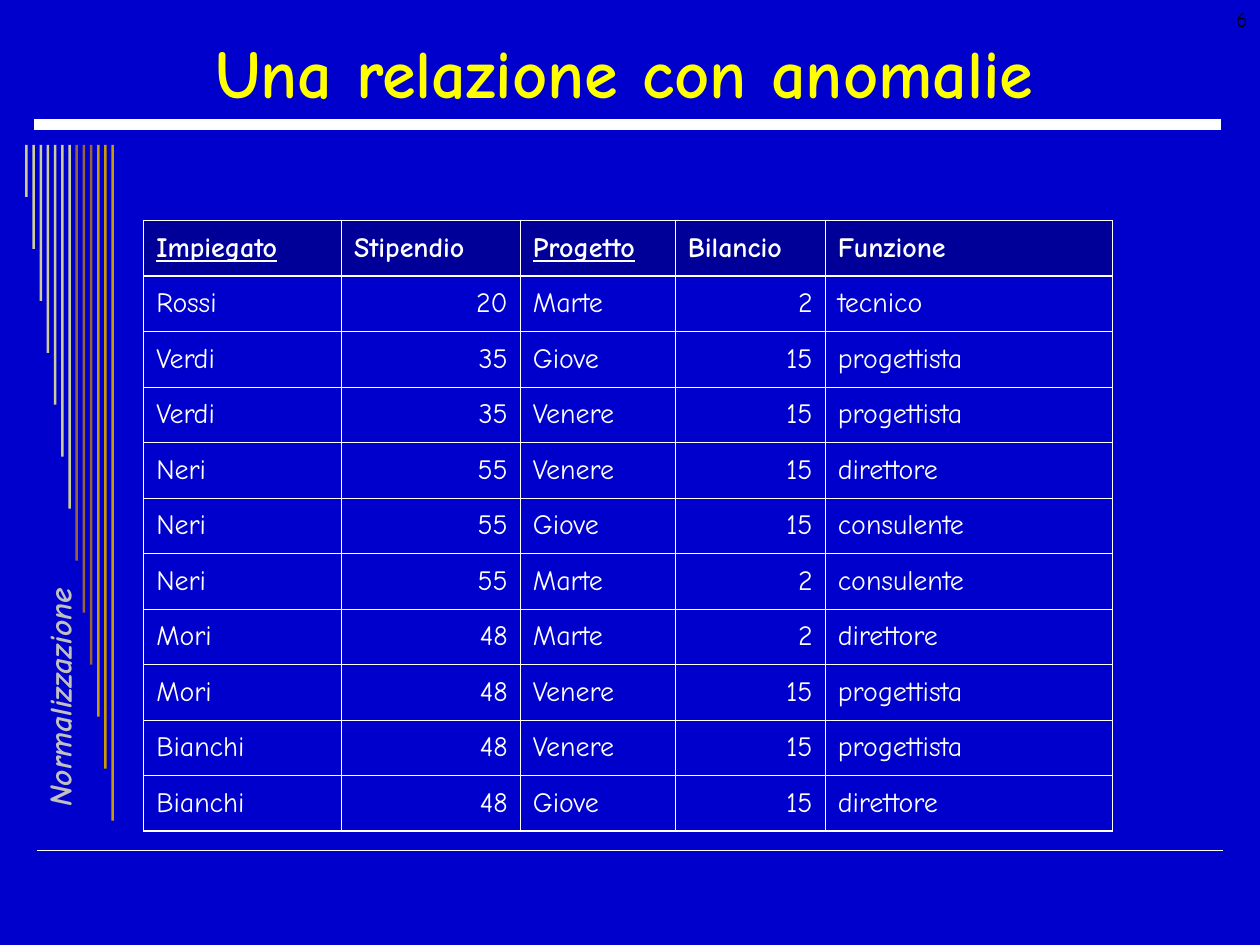
from lxml import etree
from pptx import Presentation
from pptx.dml.color import RGBColor
from pptx.enum import shapes, text
from pptx.oxml import ns
from pptx.util import Inches, Pt

BLUE = RGBColor(0x00, 0x00, 0xCC)
NAVY = RGBColor(0x00, 0x00, 0x99)
WHITE = RGBColor(0xFF, 0xFF, 0xFF)
YELLOW = RGBColor(0xFF, 0xFF, 0x00)
SILVER = RGBColor(0xC0, 0xC0, 0xC0)
BLACK = RGBColor(0x00, 0x00, 0x00)
OLIVE = RGBColor(0x33, 0x33, 0x00)
SAND = RGBColor(0xCC, 0xCC, 0x99)
BROWN = RGBColor(0x99, 0x66, 0x33)
GOLD = RGBColor(0xCC, 0x99, 0x00)
FONT = "Comic Neue"

TITLE = "Una relazione con anomalie"
SIDE_LABEL = "Normalizzazione"
PAGE_NUMBER = "6"
HEADERS = ["Impiegato", "Stipendio", "Progetto", "Bilancio", "Funzione"]
KEYS = {"Impiegato", "Progetto"}
NUMERIC = {"Stipendio", "Bilancio"}
ROWS = [
    ("Rossi", "20", "Marte", "2", "tecnico"),
    ("Verdi", "35", "Giove", "15", "progettista"),
    ("Verdi", "35", "Venere", "15", "progettista"),
    ("Neri", "55", "Venere", "15", "direttore"),
    ("Neri", "55", "Giove", "15", "consulente"),
    ("Neri", "55", "Marte", "2", "consulente"),
    ("Mori", "48", "Marte", "2", "direttore"),
    ("Mori", "48", "Venere", "15", "progettista"),
    ("Bianchi", "48", "Venere", "15", "progettista"),
    ("Bianchi", "48", "Giove", "15", "direttore"),
]
COLUMN_WIDTHS = [1.57, 1.42, 1.23, 1.19, 2.28]
TABLE_HEIGHT = 4.85
THIN, THICK = 0.45, 1.08

RULES = [(0.29, 9.71, 6.75, 1), (0.27, 9.69, 0.99, 6)]  # x1, x2, y, points
STRIPES = [SAND] * 7 + [BROWN] * 3 + [GOLD] * 3
STRIPE_STEP, STRIPE_GROWTH = 0.057, 0.4125


def add_run(p, words, size, color, bold=False):
    r = p.add_run()
    r.text = words
    r.font.name = FONT
    r.font.size = Pt(size)
    r.font.bold = bold
    r.font.color.rgb = color
    return r


def add_line_xml(parent, tag, points, color):
    ln = etree.SubElement(parent, ns.qn(tag), w=str(Pt(points)))
    fill = etree.SubElement(ln, ns.qn("a:solidFill"))
    etree.SubElement(fill, ns.qn("a:srgbClr"), val=str(color))
    return ln


def add_rules(s):
    for x1, x2, y, points in RULES:
        rule = s.shapes.add_connector(
            shapes.MSO_CONNECTOR.STRAIGHT, Inches(x1), Inches(y), Inches(x2), Inches(y))
        rule.line.color.rgb = WHITE
        rule.line.width = Pt(points)
        etree.SubElement(rule._element.spPr, ns.qn("a:effectLst"))


def add_stripes(s):
    for i, color in enumerate(STRIPES):
        sp = s.shapes.add_shape(
            shapes.MSO_SHAPE.RECTANGLE, Inches(0.2 + i * STRIPE_STEP), Inches(1.15),
            Inches(0.02), Inches((i + 1) * STRIPE_GROWTH))
        sp.shadow.inherit = False
        sp.fill.solid()
        sp.fill.fore_color.rgb = color
        sp.line.fill.background()


def add_side_label(s):
    sp = s.shapes.add_textbox(Inches(-0.75), Inches(5.24), Inches(2.28), Inches(0.24))
    sp.rotation = 270
    sp.text_frame.word_wrap = False
    r = add_run(sp.text_frame.paragraphs[0], SIDE_LABEL, 18, SILVER, bold=True)
    r.font.italic = True
    rPr = r.font._element
    rPr.insert(0, add_line_xml(rPr, "a:ln", 0.75, OLIVE))


def add_title(s):
    sp = s.shapes.title
    sp.left, sp.top, sp.width, sp.height = map(Inches, (0.35, 0.21, 9.21, 0.71))
    sp.text_frame.vertical_anchor = text.MSO_ANCHOR.MIDDLE
    p = sp.text_frame.paragraphs[0]
    p.alignment = text.PP_ALIGN.CENTER
    add_run(p, TITLE, 39, YELLOW, bold=True)


def add_relation(s):
    cells = [HEADERS] + ROWS
    last_row, last_col = len(cells) - 1, len(HEADERS) - 1
    table = s.shapes.add_table(
        len(cells), len(HEADERS), Inches(1.14), Inches(1.75),
        Inches(sum(COLUMN_WIDTHS)), Inches(TABLE_HEIGHT)).table
    for column, width in zip(table.columns, COLUMN_WIDTHS):
        column.width = Inches(width)
    for i, row in enumerate(cells):
        table.rows[i].height = Inches(TABLE_HEIGHT / len(cells))
        for j, (header, words) in enumerate(zip(HEADERS, row)):
            cell = table.cell(i, j)
            cell.vertical_anchor = text.MSO_ANCHOR.MIDDLE
            p = cell.text_frame.paragraphs[0]
            r = add_run(p, words, 16, WHITE, bold=i == 0)
            if i == 0:
                r.font.underline = header in KEYS
            elif header in NUMERIC:
                p.alignment = text.PP_ALIGN.RIGHT
            thick = {"L": j == 0, "R": j == last_col,
                     "T": i <= 1, "B": i in (0, last_row)}
            for side, is_thick in thick.items():
                add_line_xml(cell._tc.get_or_add_tcPr(), f"a:ln{side}",
                             THICK if is_thick else THIN, WHITE)
            if i == 0:
                cell.fill.solid()
                cell.fill.fore_color.rgb = NAVY
            else:
                cell.fill.background()


def add_page_number(s):
    sp = s.shapes.add_textbox(Inches(7.67), 0, Inches(2.33), Inches(0.5))
    sp.text_frame.word_wrap = True
    p = sp.text_frame.paragraphs[0]
    p.alignment = text.PP_ALIGN.RIGHT
    add_run(p, PAGE_NUMBER, 12, BLACK)


def main():
    prs = Presentation()
    prs.slide_width, prs.slide_height = Inches(10), Inches(7.5)
    s = prs.slides.add_slide(prs.slide_layouts[5])
    s.background.fill.solid()
    s.background.fill.fore_color.rgb = BLUE
    add_rules(s)
    add_stripes(s)
    add_side_label(s)
    add_title(s)
    add_relation(s)
    add_page_number(s)
    prs.save("out.pptx")


if __name__ == "__main__":
    main()
